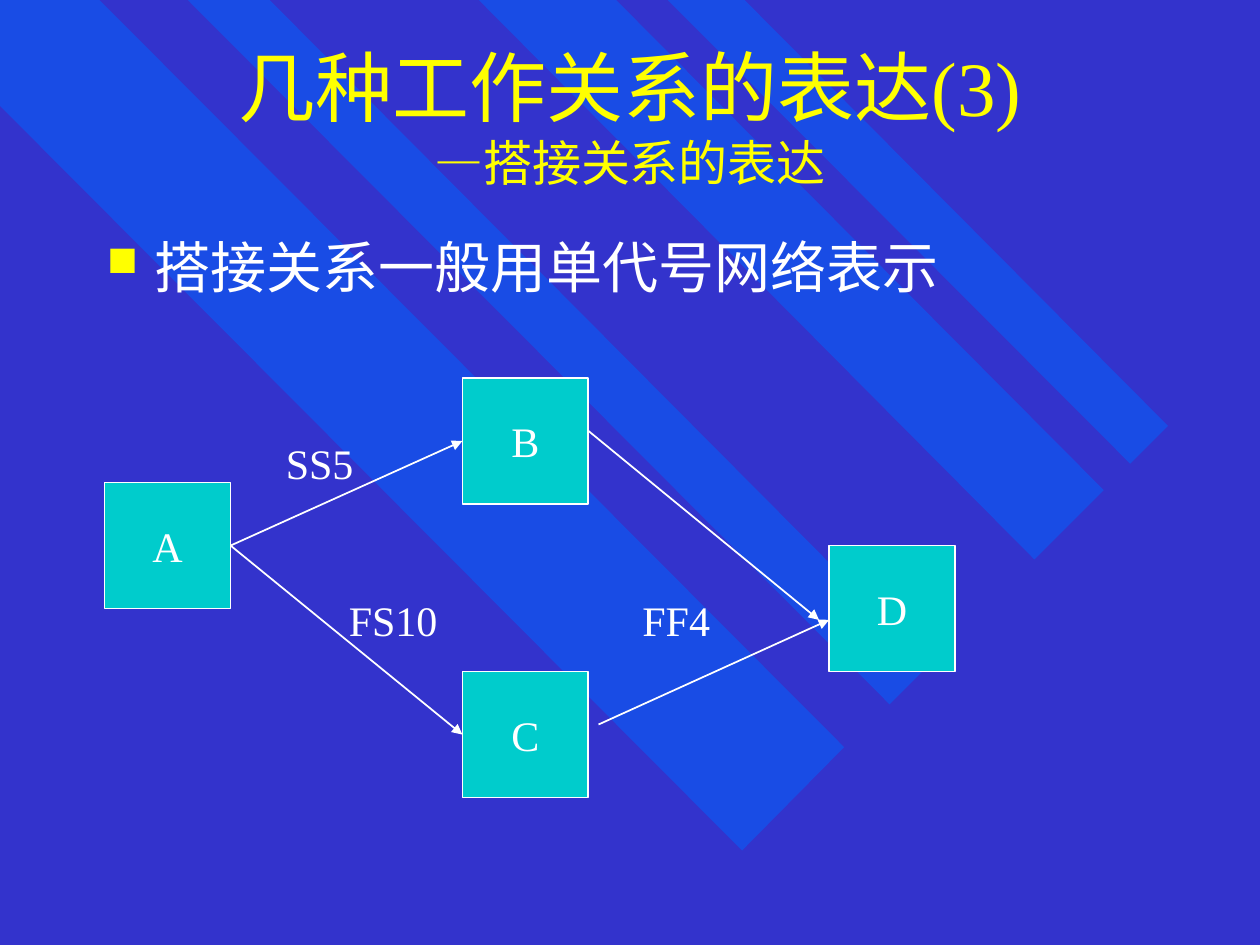
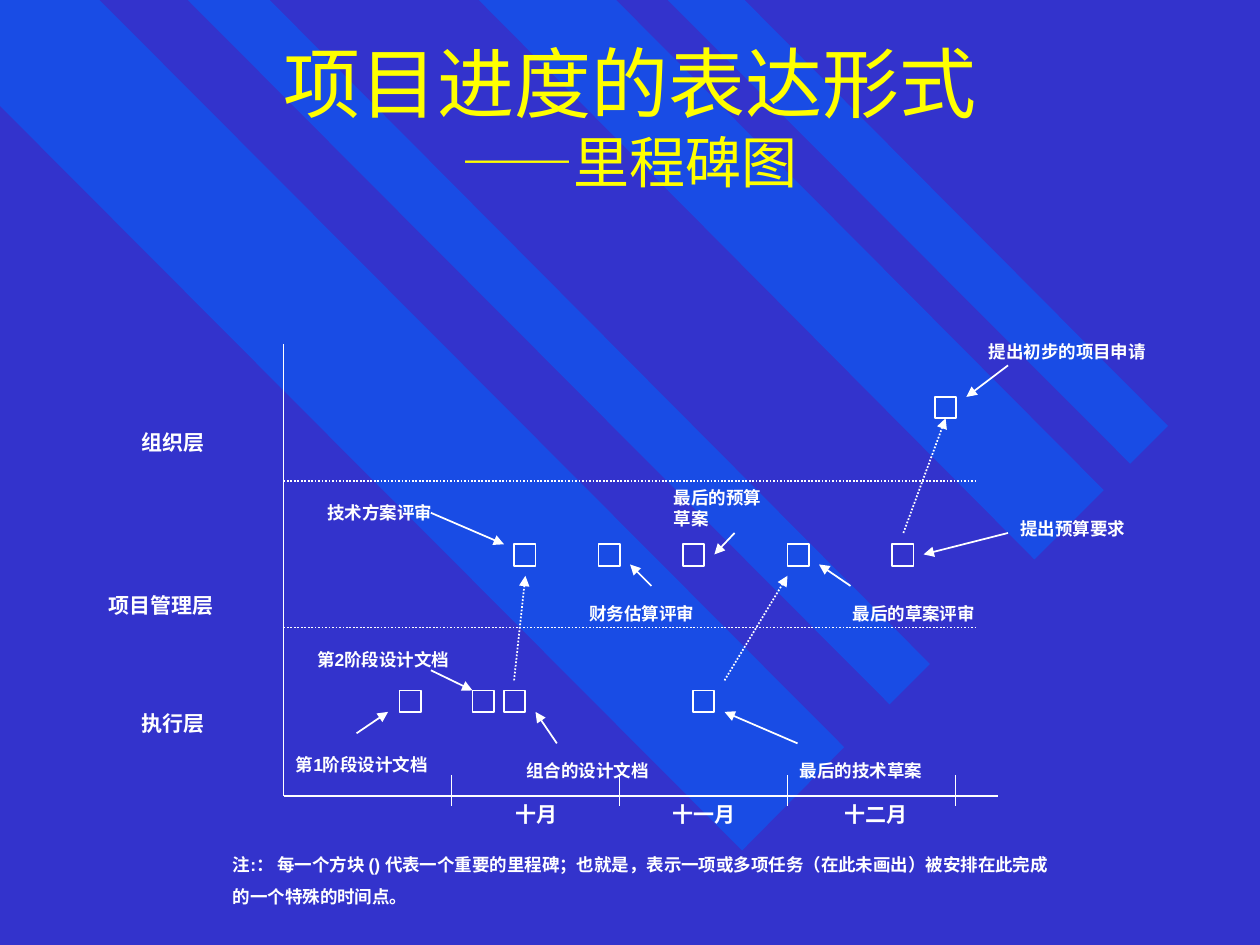
"""Build two slides on work relations and milestone charts."""
from dataclasses import dataclass
from typing import Optional

from lxml import etree
from pptx import Presentation
from pptx.dml.color import RGBColor
from pptx.enum import dml, shapes, text
from pptx.oxml import ns
from pptx.util import Inches, Pt

BLUE = RGBColor(0x33, 0x33, 0xCC)
STRIPE = RGBColor(0x00, 0x66, 0xFF)
YELLOW = RGBColor(0xFF, 0xFF, 0x00)
WHITE = RGBColor(0xFF, 0xFF, 0xFF)
TEAL = RGBColor(0x00, 0xCC, 0xCC)
SERIF, SANS = "Times New Roman", "Arial"
CENTER, LEFT = text.PP_ALIGN.CENTER, text.PP_ALIGN.LEFT
TOP, MIDDLE, BOTTOM = (text.MSO_ANCHOR.TOP, text.MSO_ANCHOR.MIDDLE,
                       text.MSO_ANCHOR.BOTTOM)
STRIPES = (
    ((6.7, 5.93), (0.79, 0), (0, 0), (0, 0.84), (5.89, 6.75)),
    ((2.14, 0), (7.38, 5.27), (7.06, 5.59), (1.49, 0)),
    ((4.89, 0), (8.76, 3.89), (8.21, 4.44), (3.8, 0)),
    ((5.3, 0), (8.97, 3.68), (9.27, 3.38), (5.91, 0)),
)
AXIS_X, AXIS_Y, MONTH_W = 2.25, 6.32, 4 / 3
MARK = 0.17


@dataclass(frozen=True)
class Label:
    """Text in a box, measured in inches."""
    words: str
    x: float
    y: float
    w: float
    h: float = 0.27


@dataclass(frozen=True)
class Line:
    """A straight line from one point to another."""
    x1: float
    y1: float
    x2: float
    y2: float
    arrow: bool = False
    dotted: bool = False


@dataclass(frozen=True)
class Node:
    """An activity in the network."""
    name: str
    x: float
    y: float


@dataclass(frozen=True)
class Link:
    """An arrow between two nodes, joined at the sides where wanted."""
    line: Line
    start: Optional[str] = None
    end: Optional[str] = None


NODES = (Node("A", 0.83, 3.83), Node("B", 3.67, 3),
         Node("C", 3.67, 5.33), Node("D", 6.58, 4.33))
LINKS = (
    Link(Line(1.83, 4.33, 3.67, 3.5, arrow=True), "A", "B"),
    Link(Line(1.83, 4.33, 3.67, 5.83, arrow=True), "A", "C"),
    Link(Line(4.67, 3.42, 6.5, 4.92, arrow=True)),
    Link(Line(4.75, 5.75, 6.58, 4.92, arrow=True)),
)
LAGS = (Label("SS5", 2.17, 3.42, 1, 0.5), Label("FS10", 2.67, 4.67, 1, 0.5),
        Label("FF4", 5, 4.67, 1, 0.5))

LAYERS = ((Label("组织层", 0.67, 3.4, 1.41, 0.26), 0.8),
          (Label("项目管理层", 0.67, 4.71, 1.22, 0.24), 0.7),
          (Label("执行层", 0.67, 5.64, 1.41, 0.24), 0.7))
MONTHS = (Label("十月", 3.67, 6.31, 1.17, 0.3),
          Label("十一月", 5, 6.31, 1.17, 0.3),
          Label("十二月", 6.33, 6.31, 1.25, 0.3))
MARK_ROWS = {5.48: (3.17, 3.75, 4, 5.5),
             4.32: (4.08, 4.75, 5.42, 6.25, 7.08),
             3.15: (7.42,)}
MILESTONES = (
    (Label("第1阶段设计文档", 2.25, 5.93, 1.42), (2.83, 5.82, 3.08, 5.65)),
    (Label("第2阶段设计文档", 2.42, 5.1, 1.42), (3.42, 5.32, 3.75, 5.48)),
    (Label("组合的设计文档", 4.08, 5.98, 1.42), (4.42, 5.9, 4.25, 5.65)),
    (Label("最后的技术草案", 6.25, 5.98, 1.42), (6.33, 5.9, 5.75, 5.65)),
    (Label("技术方案评审", 2.5, 3.93, 1.58), (3.42, 4.07, 4, 4.32)),
    (Label("提出预算要求", 8, 4.06, 1.25), (8, 4.23, 7.33, 4.4)),
    (Label("提出初步的项目申请", 7.75, 2.65, 1.67), (8, 2.9, 7.67, 3.15)),
    (Label("最后的草案评审", 6.67, 4.73, 1.42), (6.75, 4.65, 6.5, 4.48)),
    (Label("财务估算评审", 4.58, 4.73, 1.67), (5.17, 4.65, 5, 4.48)),
    (Label("最后的预算草案", 5.25, 3.81, 1, 0.44), (5.83, 4.23, 5.67, 4.4)),
)
NOTE = Label("注:： 每一个方块 () 代表一个重要的里程碑；也就是，表示一项或多项任务"
             "（在此未画出）被安排在此完成\n的一个特殊的时间点。", 1.75, 6.73, 7.33, 0.52)


def write(tf, words: str, *, sizes=(10,), font=SANS, color=WHITE, bold=False,
          align=LEFT, anchor=TOP, spacing=None, gap=0.0):
    """Fill a text frame, one paragraph for each line of words."""
    tf.word_wrap = True
    tf.vertical_anchor = anchor
    for i, line in enumerate(words.split("\n")):
        p = tf.add_paragraph() if i else tf.paragraphs[0]
        p.alignment = align
        if spacing:
            p.line_spacing = spacing
        if i and gap:
            p.space_before = Pt(gap)
        r = p.add_run()
        r.text = line
        r.font.size = Pt(sizes[min(i, len(sizes) - 1)])
        r.font.name = font
        r.font.bold = bold
        r.font.color.rgb = color


def add_label(s, label: Label, **style):
    """Add a text box and return its frame."""
    box = s.shapes.add_textbox(*map(Inches, (label.x, label.y, label.w, label.h)))
    write(box.text_frame, label.words, **style)
    return box.text_frame


def add_line(s, line: Line):
    """Add a white straight line, with an arrowhead if asked."""
    ends = map(Inches, (line.x1, line.y1, line.x2, line.y2))
    c = s.shapes.add_connector(shapes.MSO_CONNECTOR.STRAIGHT, *ends)
    c.line.color.rgb = WHITE
    c.line.width = Pt(1)
    if line.dotted:
        c.line.dash_style = dml.MSO_LINE.ROUND_DOT
    if line.arrow:
        etree.SubElement(c.line._get_or_add_ln(), ns.qn("a:tailEnd"), type="triangle")
    etree.SubElement(c._element.spPr, ns.qn("a:effectLst"))
    return c


def add_square(s, x: float, y: float, side: float, fill: Optional[RGBColor] = None):
    """Add a white-edged square."""
    sp = s.shapes.add_shape(shapes.MSO_SHAPE.RECTANGLE,
                            *map(Inches, (x, y, side, side)))
    sp.shadow.inherit = False
    if fill is None:
        sp.fill.background()
    else:
        sp.fill.solid()
        sp.fill.fore_color.rgb = fill
    sp.line.color.rgb = WHITE
    sp.line.width = Pt(1)
    return sp


def add_stripe(s, points):
    """Add one half-transparent diagonal stripe."""
    corners = [(Inches(x), Inches(y)) for x, y in points]
    builder = s.shapes.build_freeform(*corners[0])
    builder.add_line_segments(corners[1:], close=True)
    sp = builder.convert_to_shape()
    sp.shadow.inherit = False
    sp.line.fill.background()
    sp.fill.solid()
    sp.fill.fore_color.rgb = STRIPE
    color = sp._element.spPr.find(".//" + ns.qn("a:srgbClr"))
    etree.SubElement(color, ns.qn("a:alpha"), val="50000")


def add_slide(prs, title: str, subtitle_size: int):
    """Add a slide with the shared background and title."""
    s = prs.slides.add_slide(prs.slide_layouts[6])
    s.background.fill.solid()
    s.background.fill.fore_color.rgb = BLUE
    for points in STRIPES:
        add_stripe(s, points)
    add_label(s, Label(title, 0.75, 0.25, 8.5, 1.33), sizes=(44, subtitle_size),
              font=SERIF, color=YELLOW, align=CENTER, anchor=MIDDLE)
    return s


def add_bullet(p):
    """Give a paragraph a yellow square bullet and hanging indent."""
    pPr = p._p.get_or_add_pPr()
    pPr.set("marL", str(Inches(0.38)))
    pPr.set("indent", str(-Inches(0.38)))
    color = etree.SubElement(pPr, ns.qn("a:buClr"))
    etree.SubElement(color, ns.qn("a:srgbClr"), val=str(YELLOW))
    etree.SubElement(pPr, ns.qn("a:buSzPct"), val="75000")
    etree.SubElement(pPr, ns.qn("a:buChar"), char="■")


def build_network(prs):
    """Build the slide with the activity network."""
    s = add_slide(prs, "几种工作关系的表达(3)\n—搭接关系的表达", 28)
    body = add_label(s, Label("搭接关系一般用单代号网络表示", 0.75, 1.8, 8.5, 0.7),
                     sizes=(32,), font=SERIF)
    add_bullet(body.paragraphs[0])
    boxes = {}
    for node in NODES:
        sp = boxes[node.name] = add_square(s, node.x, node.y, 1, TEAL)
        write(sp.text_frame, node.name, sizes=(24,), font=SERIF,
              align=CENTER, anchor=MIDDLE)
    for link in LINKS:
        c = add_line(s, link.line)
        if link.start:
            c.begin_connect(boxes[link.start], 3)
        if link.end:
            c.end_connect(boxes[link.end], 1)
    for lag in LAGS:
        add_label(s, lag, sizes=(24,), font=SERIF)


def build_milestones(prs):
    """Build the slide with the milestone chart."""
    s = add_slide(prs, "项目进度的表达形式\n——里程碑图", 32)
    add_line(s, Line(AXIS_X, 2.73, AXIS_X, AXIS_Y))
    add_line(s, Line(AXIS_X, AXIS_Y, 7.92, AXIS_Y))
    for y in (3.82, 4.98):
        add_line(s, Line(AXIS_X, y, 7.75, y, dotted=True))
    for i in range(1, 5):
        x = AXIS_X + i * MONTH_W
        add_line(s, Line(x, 6.15, x, 6.4))
    heading = dict(sizes=(12,), bold=True, align=CENTER, anchor=BOTTOM)
    for layer, spacing in LAYERS:
        add_label(s, layer, spacing=spacing, **heading)
    for month in MONTHS:
        add_label(s, month, **heading)
    marks = {(x, y): add_square(s, x, y, MARK)
             for y, xs in MARK_ROWS.items() for x in xs}
    for label, ends in MILESTONES:
        add_label(s, label, bold=True, anchor=BOTTOM)
        add_line(s, Line(*ends, arrow=True))
    for ends in ((4.08, 5.4, 4.17, 4.57), (5.75, 5.4, 6.25, 4.57)):
        add_line(s, Line(*ends, arrow=True, dotted=True))
    request = add_line(s, Line(7.17, 4.23, 7.5, 3.32, arrow=True, dotted=True))
    request.end_connect(marks[7.42, 3.15], 2)
    add_label(s, NOTE, bold=True, anchor=BOTTOM, gap=6.2)


def main():
    """Build and save the presentation."""
    prs = Presentation()
    prs.slide_width, prs.slide_height = Inches(10), Inches(7.5)
    build_network(prs)
    build_milestones(prs)
    prs.save("out.pptx")


if __name__ == "__main__":
    main()
